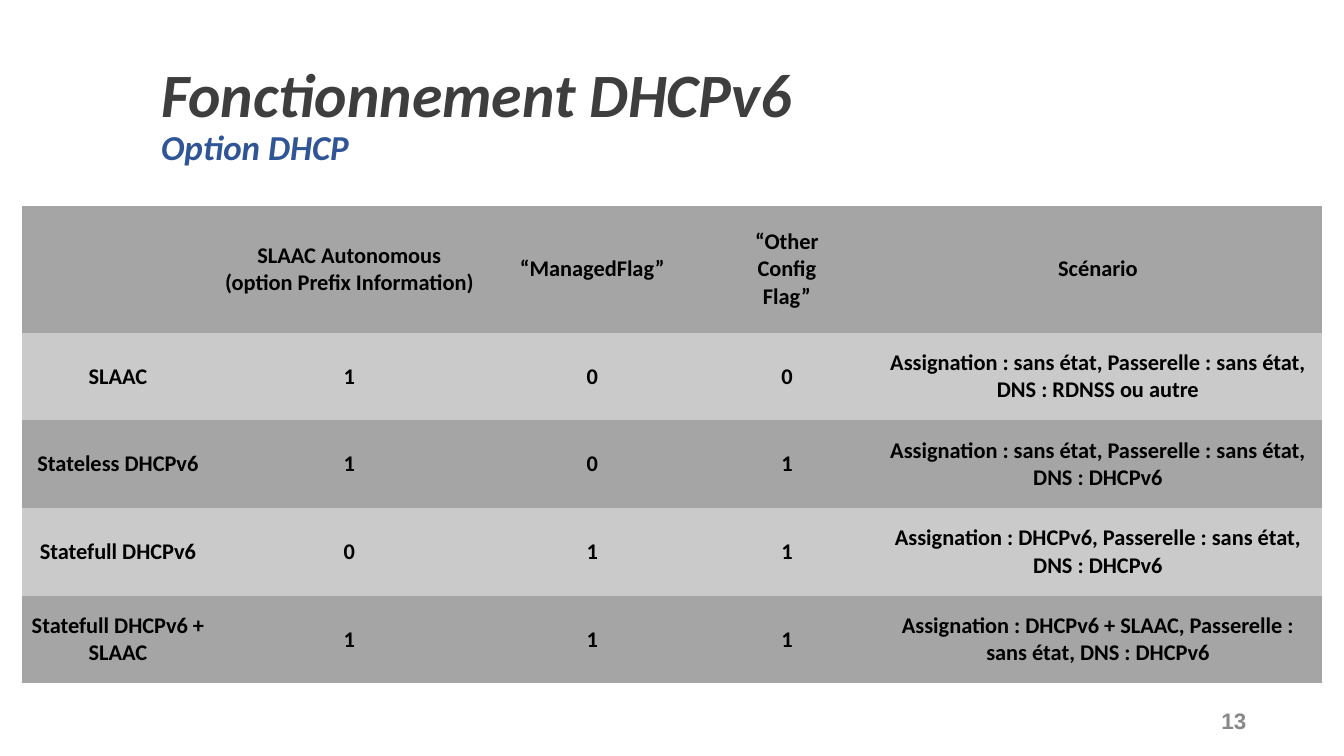
from pptx import Presentation
from pptx.dml.color import RGBColor
from pptx.enum.text import MSO_ANCHOR as Anchor, PP_ALIGN as Align
from pptx.util import Inches, Pt

COLORS = {"title": "3E3E3E", "subtitle": "2F5597", "number": "888888",
          "text": "000000", "dark": "A5A5A5", "light": "CACACA"}
NO_STYLE_NO_GRID = "{2D5ABB26-0587-4C30-8999-92F81FD0307C}"


def write(frame, text, align, color, size, font="Calibri", italic=None):
    """Fill a text frame; newlines part paragraphs, vertical tabs part lines."""
    frame.text = text
    looks = {"name": font, "size": Pt(size), "bold": True, "italic": italic}
    for para in frame.paragraphs:
        para.alignment = align
        for span in para.runs:
            span.font.color.rgb = RGBColor.from_string(COLORS[color])
            for name, value in looks.items():
                setattr(span.font, name, value)


deck = Presentation()
deck.slide_width, deck.slide_height = Inches(13.33), Inches(7.5)
page = deck.slides.add_slide(deck.slide_layouts[6])

# Page number, title and subtitle
labels = [
    ((12.03, 6.83, 0.38, 0.64), "13", Align.RIGHT, "number", 16, "Arial", None),
    ((1.5, 0.59, 11.5, 1.45), "Fonctionnement DHCPv6", Align.LEFT, "title", 44, "Calibri", True),
    ((1.5, 1.2, 6.67, 0.52), "Option DHCP", Align.LEFT, "subtitle", 25, "Calibri", True),
]
boxes = []
for place, *content in labels:
    box = page.shapes.add_textbox(*map(Inches, place))
    box.text_frame.word_wrap = True
    write(box.text_frame, *content)
    boxes.append(box.text_frame)
number, title, subtitle = boxes
number.vertical_anchor = Anchor.MIDDLE
for side in ("left", "right", "top", "bottom"):
    setattr(number, f"margin_{side}", Inches(0.05))
title.paragraphs[0].line_spacing = 0.9

# Flags of each scenario
rows = [
    ("", "SLAAC Autonomous\v(option Prefix Information)", "“ManagedFlag”",
     "“Other\nConfig\nFlag”", "Scénario"),
    ("SLAAC", "1", "0", "0",
     "Assignation : sans état, Passerelle : sans état, DNS : RDNSS ou autre"),
    ("Stateless DHCPv6", "1", "0", "1",
     "Assignation : sans état, Passerelle : sans état, DNS : DHCPv6"),
    ("Statefull DHCPv6", "0", "1", "1",
     "Assignation : DHCPv6, Passerelle : sans état, DNS : DHCPv6"),
    ("Statefull DHCPv6 + SLAAC", "1", "1", "1",
     "Assignation : DHCPv6 + SLAAC, Passerelle : sans état, DNS : DHCPv6"),
]
widths = [1.9, 2.69, 2.13, 1.73, 4.44]
heights = [1.26] + [0.87] * (len(rows) - 1)
holder = page.shapes.add_table(len(rows), len(widths), Inches(0.22), Inches(2.04),
                               Inches(sum(widths)), Inches(sum(heights)))
for style in holder.element.iter("{*}tableStyleId"):
    style.text = NO_STYLE_NO_GRID
table = holder.table
for column, width in zip(table.columns, widths):
    column.width = Inches(width)

cell_format = {"vertical_anchor": Anchor.MIDDLE,
               "margin_left": Inches(0.08), "margin_right": Inches(0.08),
               "margin_top": Inches(0.04), "margin_bottom": Inches(0.04)}
for index, (row, texts) in enumerate(zip(table.rows, rows)):
    row.height = Inches(heights[index])
    shade = COLORS["light" if index % 2 else "dark"]
    for cell, text in zip(row.cells, texts):
        for name, value in cell_format.items():
            setattr(cell, name, value)
        cell.fill.solid()
        cell.fill.fore_color.rgb = RGBColor.from_string(shade)
        write(cell.text_frame, text, Align.CENTER, "text", 16)

deck.save("out.pptx")
